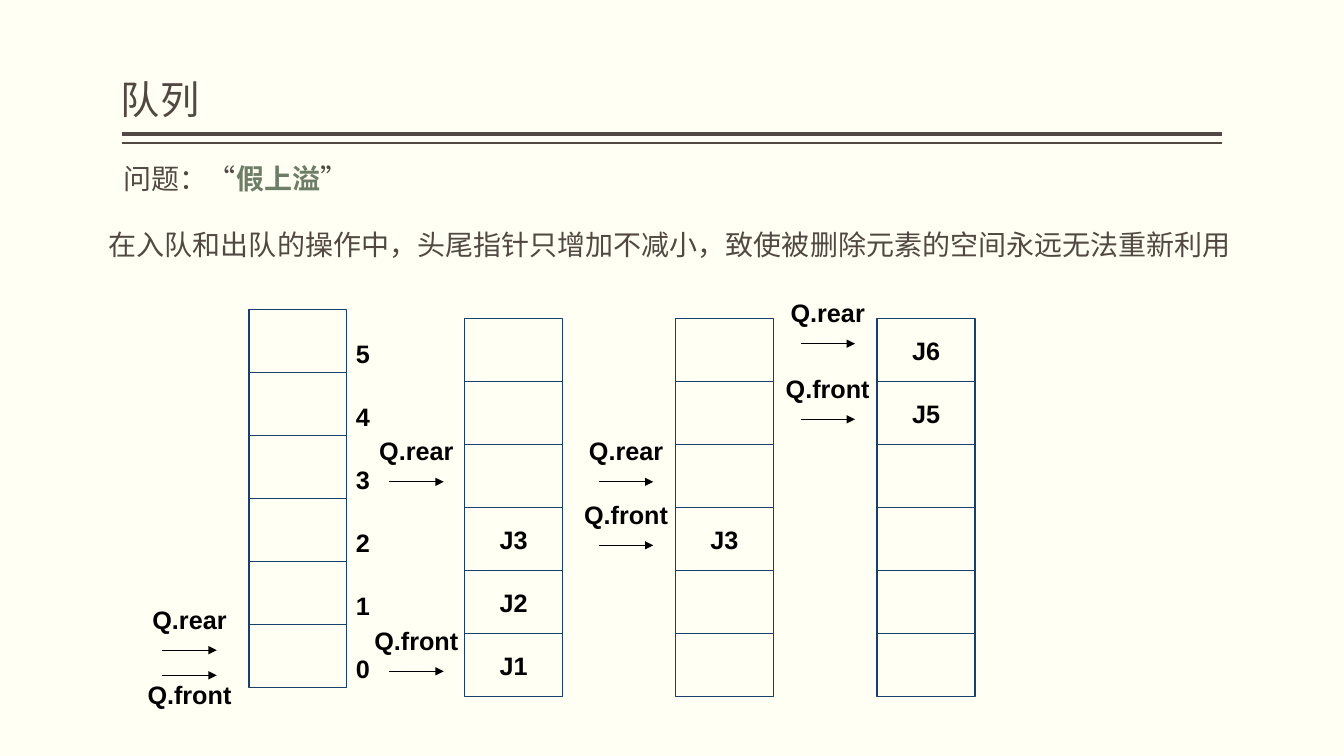
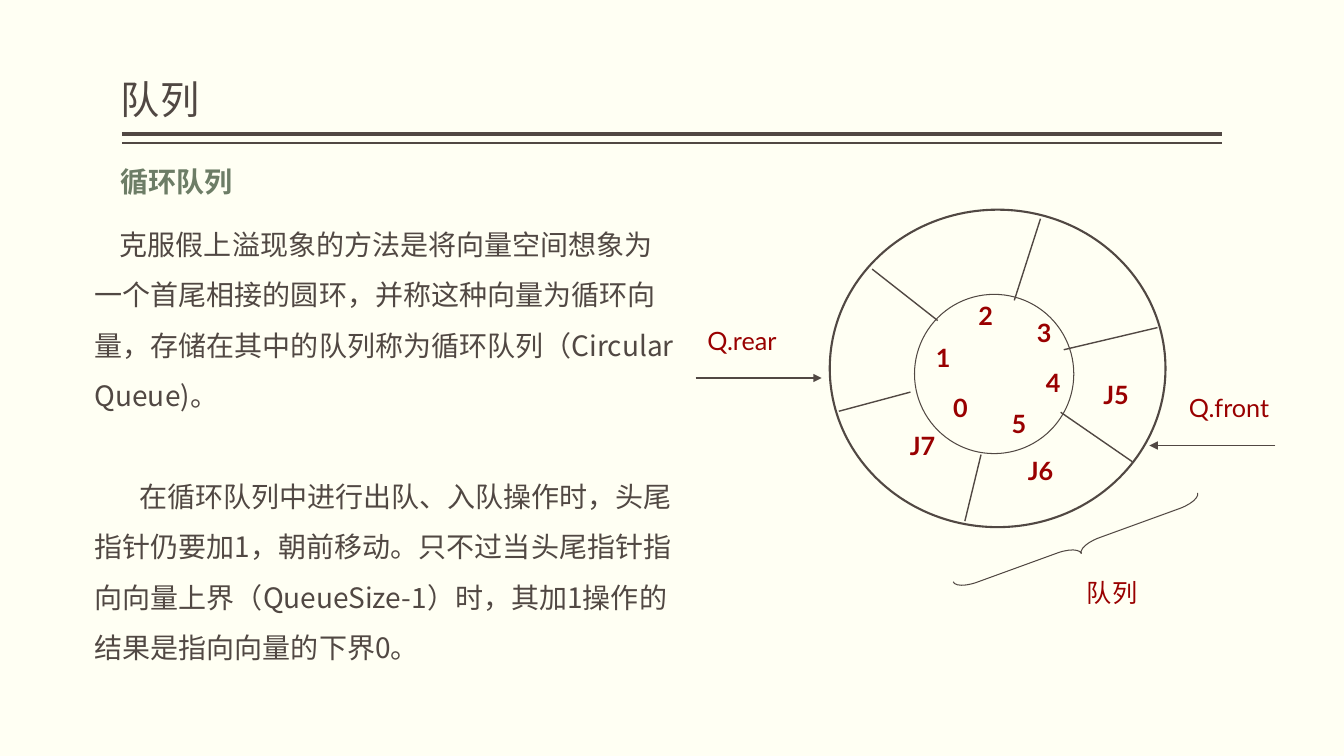
import lxml.etree
import pptx
import pptx.dml.color
import pptx.enum.shapes
import pptx.enum.text
import pptx.oxml.ns
import pptx.util

Inches, Pt = pptx.util.Inches, pptx.util.Pt
rgb = pptx.dml.color.RGBColor.from_string
qn = pptx.oxml.ns.qn
SHAPE = pptx.enum.shapes.MSO_SHAPE
ANCHOR = pptx.enum.text.MSO_ANCHOR
ALIGN = pptx.enum.text.PP_ALIGN

PAPER, INK, GREEN = "FFFFF3", "514843", "6D7D66"
NAVY, BLACK, RED = "17406D", "000000", "990000"
CJK = "Noto Sans CJK SC"

TITLE = {
    "frame": {"word_wrap": True, "vertical_anchor": ANCHOR.BOTTOM, "margin_left": 0, "margin_right": 0},
    "paragraph": {"line_spacing": Pt(30)},
    "font": {"size": Pt(28), "name": CJK},
    "colour": INK,
}
BODY = {
    "frame": {"word_wrap": True},
    "paragraph": {"line_spacing": Pt(36)},
    "font": {"size": Pt(20), "name": CJK},
    "colour": INK,
}
QUEUE_LABEL = {
    "frame": {"word_wrap": False, "vertical_anchor": ANCHOR.MIDDLE, "margin_left": 0, "margin_right": 0},
    "paragraph": {"alignment": ALIGN.CENTER},
    "font": {"size": Pt(18), "name": "Arial", "bold": True},
    "colour": BLACK,
}
RING_LABEL = QUEUE_LABEL | {"font": {"size": Pt(18), "name": "Lato"}, "colour": RED}
RING_MARK = RING_LABEL | {"font": RING_LABEL["font"] | {"bold": True}}
KEYWORD = BODY | {"font": BODY["font"] | {"bold": True}, "colour": GREEN}


def write(frame, content, style):
    """Fill a frame with one string, or with (indent, space before, [(text, style)]) paragraphs."""
    if isinstance(content, str):
        content = [(0, 0, [(content, style)])]
    for key, value in style["frame"].items():
        setattr(frame, key, value)
    for number, (indent, before, runs) in enumerate(content):
        paragraph = frame.add_paragraph() if number else frame.paragraphs[0]
        for key, value in style["paragraph"].items():
            setattr(paragraph, key, value)
        if indent:
            paragraph._p.get_or_add_pPr().set("indent", str(Inches(indent)))
        if before:
            paragraph.space_before = Pt(before)
        for text, run_style in runs:
            run = paragraph.add_run()
            run.text = text
            for key, value in run_style["font"].items():
                setattr(run.font, key, value)
            run.font.color.rgb = rgb(run_style["colour"])
            east_asian = lxml.etree.SubElement(run._r.get_or_add_rPr(), qn("a:ea"))
            east_asian.set("typeface", CJK)


def draw_line(slide, start, end, colour, width, arrow=False):
    line = slide.shapes.add_connector(
        pptx.enum.shapes.MSO_CONNECTOR.STRAIGHT, *map(Inches, start + end))
    line.line.color.rgb = rgb(colour)
    line.line.width = Pt(width)
    if arrow:
        lxml.etree.SubElement(line.line._get_or_add_ln(), qn("a:tailEnd")).set("type", "triangle")
    lxml.etree.SubElement(line._element.spPr, qn("a:effectLst"))


prs = pptx.Presentation()
prs.slide_width, prs.slide_height = Inches(13.33), Inches(7.5)
background = prs.slide_master.background.fill
background.solid()
background.fore_color.rgb = rgb(PAPER)

overflow, circular = [prs.slides.add_slide(prs.slide_layouts[6]) for _ in range(2)]
for slide in (overflow, circular):
    for y, width in ((1.33, 3), (1.42, 1)):
        draw_line(slide, (1.21, y), (12.12, y), INK, width)

# Text of both slides: slide, box, content, style
passages = [
    (overflow, (1.2, 0.64, 9.83, 0.62), "队列", TITLE),
    (overflow, (0.98, 1.39, 11.38, 1.3), [
        (0.15, 0, [("问题：“", BODY), ("假上溢", KEYWORD), ("”", BODY)]),
        (0, 11, [("在入队和出队的操作中，头尾指针只增加不减小，致使被删除元素的空间永远无法重新利用", BODY)]),
    ], BODY),
    (circular, (1.2, 0.64, 9.83, 0.62), "队列", TITLE),
    (circular, (1.1, 1.42, 7.34, 0.6), "循环队列", KEYWORD),
    (circular, (0.84, 2.04, 5.95, 4.59), [
        (0.25, 0, [("克服假上溢现象的方法是将向量空间想象为一个首尾相接的圆环，并称这种向量为循环向量，"
                    "存储在其中的队列称为循环队列（Circular Queue)。", BODY)]),
        (0.44, 36, [("在循环队列中进行出队、入队操作时，头尾指针仍要加1，朝前移动。只不过当头尾指针"
                     "指向向量上界（QueueSize-1）时，其加1操作的结果是指向向量的下界0。", BODY)]),
    ], BODY),
]

# Four states of the linear queue
CELL_WIDTH, CELL_HEIGHT = 0.97, 0.625
POINTER_WIDTH = 0.96
# left, top, cells from the top, pointer centre, pointers as (name, arrow y, label top)
states = [
    (2.47, 3.07, [""] * 6, 1.88, [("Q.rear", 6.45, 5.95), ("Q.front", 6.7, 6.7)]),
    (4.61, 3.16, ["", "", "", "J3", "J2", "J1"], 4.13, [("Q.rear", 4.78, 4.28), ("Q.front", 6.66, 6.16)]),
    (6.7, 3.16, ["", "", "", "J3", "", ""], 6.21, [("Q.rear", 4.78, 4.28), ("Q.front", 5.41, 4.91)]),
    (8.7, 3.16, ["J6", "J5", "", "", "", ""], 8.21, [("Q.rear", 3.41, 2.91), ("Q.front", 4.16, 3.66)]),
]
outlines = []  # slide, preset, box, colour, width, rotation, text
for left, top, cells, centre, pointers in states:
    for row, element in enumerate(cells):
        box = (left, top + row * CELL_HEIGHT, CELL_WIDTH, CELL_HEIGHT)
        outlines.append((overflow, SHAPE.RECTANGLE, box, NAVY, 1, 0, element))
    for name, arrow_y, label_top in pointers:
        draw_line(overflow, (centre - 0.27, arrow_y), (centre + 0.27, arrow_y), BLACK, 0.75, arrow=True)
        box = (centre - POINTER_WIDTH / 2, label_top, POINTER_WIDTH, 0.38)
        passages.append((overflow, box, name, QUEUE_LABEL))
for row in range(6):
    passages.append((overflow, (3.44, 3.32 + row * CELL_HEIGHT, 0.32, 0.38), str(5 - row), QUEUE_LABEL))

# Circular queue
outlines += [
    (circular, SHAPE.OVAL, (8.23, 2.08, 3.33, 3.15), INK, 1.5, 0, ""),
    (circular, SHAPE.OVAL, (9.07, 2.92, 1.58, 1.58), INK, 0.75, 0, ""),
    (circular, SHAPE.LEFT_BRACE, (10.61, 4.12, 0.17, 2.58), INK, 0.75, 250, ""),
]
spokes = [
    ((9.03, 3.89), (8.32, 4.08)), ((9.3, 3.18), (8.65, 2.67)), ((9.73, 4.51), (9.57, 5.17)),
    ((10.32, 2.17), (10.06, 2.98)), ((11.48, 3.25), (10.55, 3.47)), ((11.23, 4.58), (10.52, 4.09)),
]
for start, end in spokes:
    draw_line(circular, start, end, INK, 1)
for start, end in (((6.9, 3.75), (8.15, 3.75)), ((12.65, 4.42), (11.4, 4.42))):
    draw_line(circular, start, end, INK, 0.75, arrow=True)
for name, left, top in (("Q.rear", 6.9, 3.17), ("Q.front", 11.73, 3.83), ("队列", 10.57, 5.67)):
    passages.append((circular, (left, top, 0.92, 0.42), name, RING_LABEL))
for element, left, top in (("J5", 10.82, 3.75), ("J6", 10.07, 4.5), ("J7", 8.9, 4.25)):
    passages.append((circular, (left, top, 0.5, 0.33), element, RING_MARK))
index_places = [(9.4, 3.92), (9.23, 3.42), (9.65, 3), (10.23, 3.17), (10.32, 3.67), (9.98, 4.08)]
for index, place in enumerate(index_places):
    passages.append((circular, place + (0.25, 0.25), str(index), RING_MARK))

for slide, preset, box, colour, width, rotation, text in outlines:
    outline = slide.shapes.add_shape(preset, *map(Inches, box))
    outline.shadow.inherit = False
    outline.fill.background()
    outline.line.color.rgb = rgb(colour)
    outline.line.width = Pt(width)
    outline.rotation = rotation
    if preset == SHAPE.LEFT_BRACE:
        outline.adjustments[0] = 1.29
    if text:
        write(outline.text_frame, text, QUEUE_LABEL)

for slide, box, content, style in passages:
    write(slide.shapes.add_textbox(*map(Inches, box)).text_frame, content, style)

prs.save("out.pptx")
